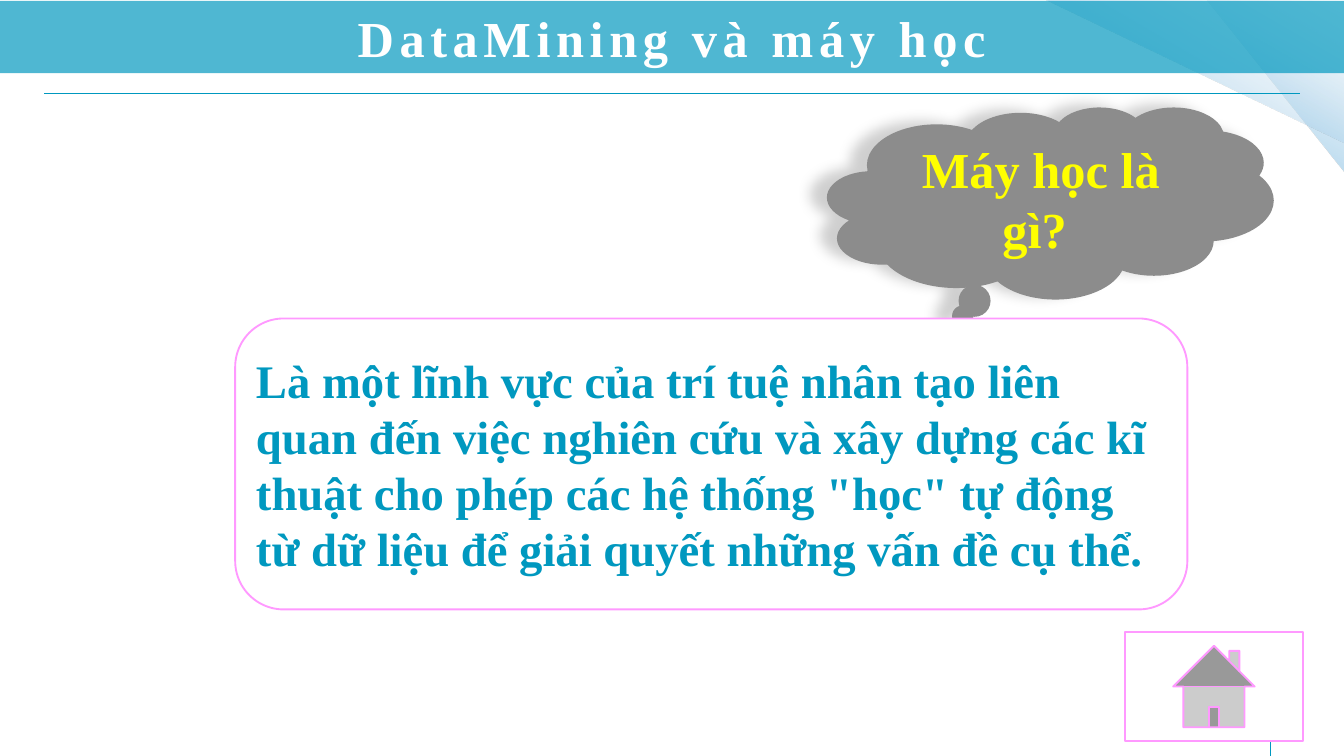
"""Build the slide that defines machine learning, with a thought cloud and a home button."""
from dataclasses import dataclass, field

from lxml import etree
from pptx import Presentation
from pptx.dml.color import RGBColor
from pptx.enum.shapes import MSO_CONNECTOR, MSO_SHAPE
from pptx.enum.text import MSO_ANCHOR, PP_ALIGN
from pptx.oxml import parse_xml
from pptx.oxml.ns import nsdecls, qn
from pptx.slide import Slide
from pptx.util import Cm, Pt

CLOUD = MSO_SHAPE.CLOUD_CALLOUT
ROUNDED = MSO_SHAPE.ROUNDED_RECTANGLE
HOME = MSO_SHAPE.ACTION_BUTTON_HOME
TRIANGLE = MSO_SHAPE.RIGHT_TRIANGLE
STRAIGHT = MSO_CONNECTOR.STRAIGHT
MIDDLE = MSO_ANCHOR.MIDDLE
LEFT, CENTER = PP_ALIGN.LEFT, PP_ALIGN.CENTER

COLORS = {
    "teal": "0098BF",
    "white": "FFFFFF",
    "gray": "8C8C8C",
    "yellow": "FFFF00",
    "pink": "FF99FF",
    "black": "000000",
}
CORNER_STOPS = [(0, "8FC8E8", 100), (50, "A4CEE9", 44), (100, "DEEDF6", 0)]


def color(name):
    return RGBColor.from_string(COLORS[name])


def write_text(shape, text, size=54, font="Times New Roman", ink="white",
               align=CENTER, spacing=0):
    frame = shape.text_frame
    frame.word_wrap = True
    frame.vertical_anchor = MIDDLE
    paragraph = frame.paragraphs[0]
    paragraph.alignment = align
    run = paragraph.add_run()
    run.text = text
    run.font.name = font
    run.font.size = Pt(size)
    run.font.bold = True
    run.font.color.rgb = color(ink)
    if spacing:
        run.font._element.set("spc", str(spacing * 100))


@dataclass
class SlideBuilder:
    slide: Slide
    colors: dict = field(default_factory=lambda: COLORS)
    line_width: float = 2

    def shape(self, kind, left, top, width, height, fill, line=None):
        shape = self.slide.shapes.add_shape(kind, Cm(left), Cm(top), Cm(width), Cm(height))
        shape.shadow.inherit = False
        shape.fill.solid()
        shape.fill.fore_color.rgb = color(fill)
        if line:
            shape.line.color.rgb = color(line)
            shape.line.width = Pt(self.line_width)
        else:
            shape.line.fill.background()
        return shape

    def corner(self, left, width, height):
        triangle = self.shape(TRIANGLE, left, 0, width, height, "white")
        triangle.rotation = 180
        stops = "".join(
            f'<a:gs pos="{position * 1000}"><a:srgbClr val="{value}">'
            f'<a:alpha val="{alpha * 1000}"/></a:srgbClr></a:gs>'
            for position, value, alpha in CORNER_STOPS)
        gradient = parse_xml(
            f'<a:gradFill {nsdecls("a")} rotWithShape="1"><a:gsLst>{stops}</a:gsLst>'
            f'<a:lin ang="{120 * 60000}" scaled="0"/></a:gradFill>')
        properties = triangle.element.spPr
        properties.replace(properties.find(qn("a:solidFill")), gradient)

    def rule(self, start, end):
        line = self.slide.shapes.add_connector(STRAIGHT, *map(Cm, start + end))
        line.line.color.rgb = color("teal")
        line.line.width = Pt(1)
        etree.SubElement(line.element.spPr, qn("a:effectLst"))

    def title(self, text, left, top, width, height, opacity):
        title = self.slide.shapes.title
        title.element.getparent().append(title.element)
        title.left, title.top, title.width, title.height = map(Cm, (left, top, width, height))
        title.fill.solid()
        title.fill.fore_color.rgb = color("teal")
        solid = title.element.spPr.find(qn("a:solidFill"))
        etree.SubElement(solid[0], qn("a:alpha"), val=str(opacity * 1000))
        write_text(title, text, spacing=6)

    def shadow(self, shape, opacity, blur, distance, direction):
        effects = shape.element.spPr.find(qn("a:effectLst"))
        effects.append(parse_xml(
            f'<a:outerShdw {nsdecls("a")} blurRad="{Pt(blur)}" dist="{Pt(distance)}" '
            f'dir="{direction * 60000}"><a:srgbClr val="{self.colors["black"]}">'
            f'<a:alpha val="{opacity * 1000}"/></a:srgbClr></a:outerShdw>'))


def main():
    presentation = Presentation()
    presentation.slide_width, presentation.slide_height = Cm(50.8), Cm(28.58)
    builder = SlideBuilder(presentation.slides.add_slide(presentation.slide_layouts[5]))

    builder.corner(45.62, 5.18, 6.53)
    builder.corner(39.47, 11.38, 5.41)
    builder.rule((1.68, 3.53), (49.12, 3.53))
    builder.rule((48.03, 28.58), (48.03, 26.42))
    builder.title("DataMining và máy học", 0, 0.03, 50.8, 2.74, opacity=69)

    cloud = builder.shape(CLOUD, 31.27, 4.04, 16.87, 7.26, "gray")
    builder.shadow(cloud, opacity=18, blur=14.5, distance=19, direction=192)
    write_text(cloud, " Máy học là gì?", ink="yellow")

    answer = builder.shape(ROUNDED, 8.89, 12.04, 35.99, 11, "white", "pink")
    write_text(
        answer,
        "Là một lĩnh vực của trí tuệ nhân tạo liên quan đến việc nghiên cứu và xây dựng "
        "các kĩ thuật cho phép các hệ thống \"học\" tự động từ dữ liệu để giải quyết "
        "những vấn đề cụ thể.",
        size=50, ink="teal", align=LEFT)

    builder.shape(HOME, 42.52, 23.9, 6.73, 4.11, "white", "pink")
    presentation.save("out.pptx")


if __name__ == "__main__":
    main()
